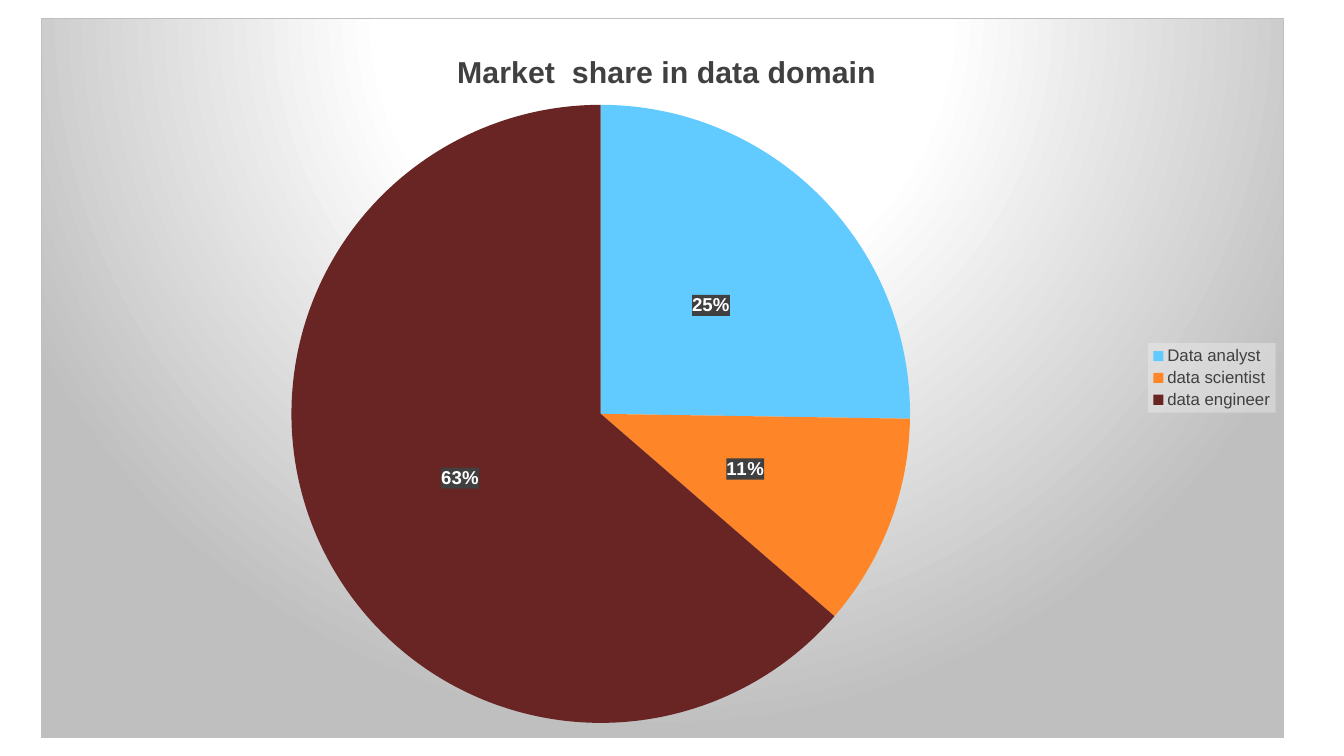
import pptx
import pptx.chart.data
import pptx.dml.color
import pptx.enum.chart
import pptx.oxml
import pptx.oxml.ns
import pptx.util

Inches = pptx.util.Inches
COLORS = {
    "analyst": "61CAFF", "scientist": "FF8628", "engineer": "692523",
    "text": "404040", "label": "FFFFFF", "center": "FFFFFF",
    "edge": "BFBFBF", "legend": "F2F2F2",
}
NAMESPACES = pptx.oxml.ns.nsdecls("a", "c")


def solid_fill(color, alpha):
    """Fill XML with alpha in percent."""
    return (f'<a:solidFill><a:srgbClr val="{COLORS[color]}">'
            f'<a:alpha val="{alpha * 1000}"/></a:srgbClr></a:solidFill>')


class MarketSlide:
    font_name = "Arial"

    def __init__(self, presentation):
        self.slide = presentation.slides.add_slide(presentation.slide_layouts[6])

    def style_font(self, font, size, color, bold=False):
        font.name = self.font_name
        font.size = pptx.util.Pt(size)
        font.bold = bold
        font.color.rgb = pptx.dml.color.RGBColor.from_string(COLORS[color])

    def add_background(self, element, content):
        """Put shape properties ahead of the text properties of a chart part."""
        xml = f"<c:spPr {NAMESPACES}>{content}</c:spPr>"
        element.find(pptx.oxml.ns.qn("c:txPr")).addprevious(pptx.oxml.parse_xml(xml))

    def place(self, element, index, target="", **fractions):
        """Set a manual layout, in fractions of the chart's size."""
        for layout in element.findall(pptx.oxml.ns.qn("c:layout")):
            element.remove(layout)
        modes = '<c:xMode val="edge"/><c:yMode val="edge"/>'
        sizes = "".join(f'<c:{key} val="{value}"/>' for key, value in fractions.items())
        element.insert(index, pptx.oxml.parse_xml(
            f"<c:layout {NAMESPACES}><c:manualLayout>{target}{modes}{sizes}"
            "</c:manualLayout></c:layout>"))

    def add_pie(self, title, shares, left, top, width, height):
        """Draw shares given as (category, percent, color, explosion)."""
        data = pptx.chart.data.CategoryChartData(number_format='0"%"')
        data.categories = [category for category, *_ in shares]
        data.add_series("Series 1", [percent for _, percent, *_ in shares])
        chart = self.slide.shapes.add_chart(
            pptx.enum.chart.XL_CHART_TYPE.PIE, left, top, width, height, data).chart
        self.style_font(chart.font, 10, "text")
        self.add_background(chart.element, (
            '<a:gradFill><a:gsLst>'
            + "".join(f'<a:gs pos="{stop * 1000}"><a:srgbClr val="{COLORS[color]}"/></a:gs>'
                      for stop, color in ((0, "center"), (39, "center"), (100, "edge")))
            + '</a:gsLst><a:path path="circle"><a:fillToRect l="50000" t="-80000" '
            'r="50000" b="180000"/></a:path></a:gradFill>'
            f'<a:ln w="9525"><a:solidFill><a:srgbClr val="{COLORS["edge"]}"/>'
            '</a:solidFill></a:ln>'))
        self.add_title(chart, title)
        self.add_legend(chart)
        self.style_slices(chart, shares)

    def add_title(self, chart, title):
        run = chart.chart_title.text_frame.paragraphs[0].add_run()
        run.text = title
        self.style_font(run.font, 21.6, "text", bold=True)
        self.place(chart.chart_title.element if hasattr(chart.chart_title, "element")
                   else chart.element.chart.title, 1, x=0.33, y=0.04)

    def add_legend(self, chart):
        chart.has_legend = True
        legend = chart.legend
        legend.position = pptx.enum.chart.XL_LEGEND_POSITION.RIGHT
        legend.include_in_layout = False
        self.style_font(legend.font, 12, "text")
        self.add_background(chart.element.chart.find(pptx.oxml.ns.qn("c:legend")),
                            solid_fill("legend", 39))

    def style_slices(self, chart, shares):
        plot = chart.plots[0]
        plot.vary_by_categories = True
        series = plot.series[0]
        self.place(chart.element.chart.plotArea, 0, '<c:layoutTarget val="inner"/>',
                   x=0.2, y=0.12, w=0.5, h=0.86)
        for index, (_, _, color, explosion) in enumerate(shares):
            fill = series.points[index].format.fill
            fill.solid()
            fill.fore_color.rgb = pptx.dml.color.RGBColor.from_string(COLORS[color])
            slice_fill = series.points[index].format.element if hasattr(
                series.points[index].format, "element") else series._element.findall(
                pptx.oxml.ns.qn("c:dPt"))[index].find(pptx.oxml.ns.qn("c:spPr"))
            slice_fill.addprevious(pptx.oxml.parse_xml(
                f'<c:explosion {NAMESPACES} val="{explosion}"/>'))
        labels = series.data_labels
        labels.show_value = True
        labels.number_format = '0"%"'
        labels.number_format_is_linked = False
        labels.position = pptx.enum.chart.XL_LABEL_POSITION.CENTER
        self.style_font(labels.font, 13.3, "label", bold=True)
        self.add_background(series._element.find(pptx.oxml.ns.qn("c:dLbls")),
                            solid_fill("text", 90))


def main():
    presentation = pptx.Presentation()
    presentation.slide_width = Inches(13.33)
    presentation.slide_height = Inches(7.5)
    market = MarketSlide(presentation)
    market.add_pie(
        "Market  share in data domain",
        [("Data analyst", 25, "analyst", 6),
         ("data scientist", 11, "scientist", 7),
         ("data engineer", 63, "engineer", 0)],
        Inches(0.41), Inches(0.18), Inches(12.33), Inches(7.14))
    presentation.save("out.pptx")


if __name__ == "__main__":
    main()
